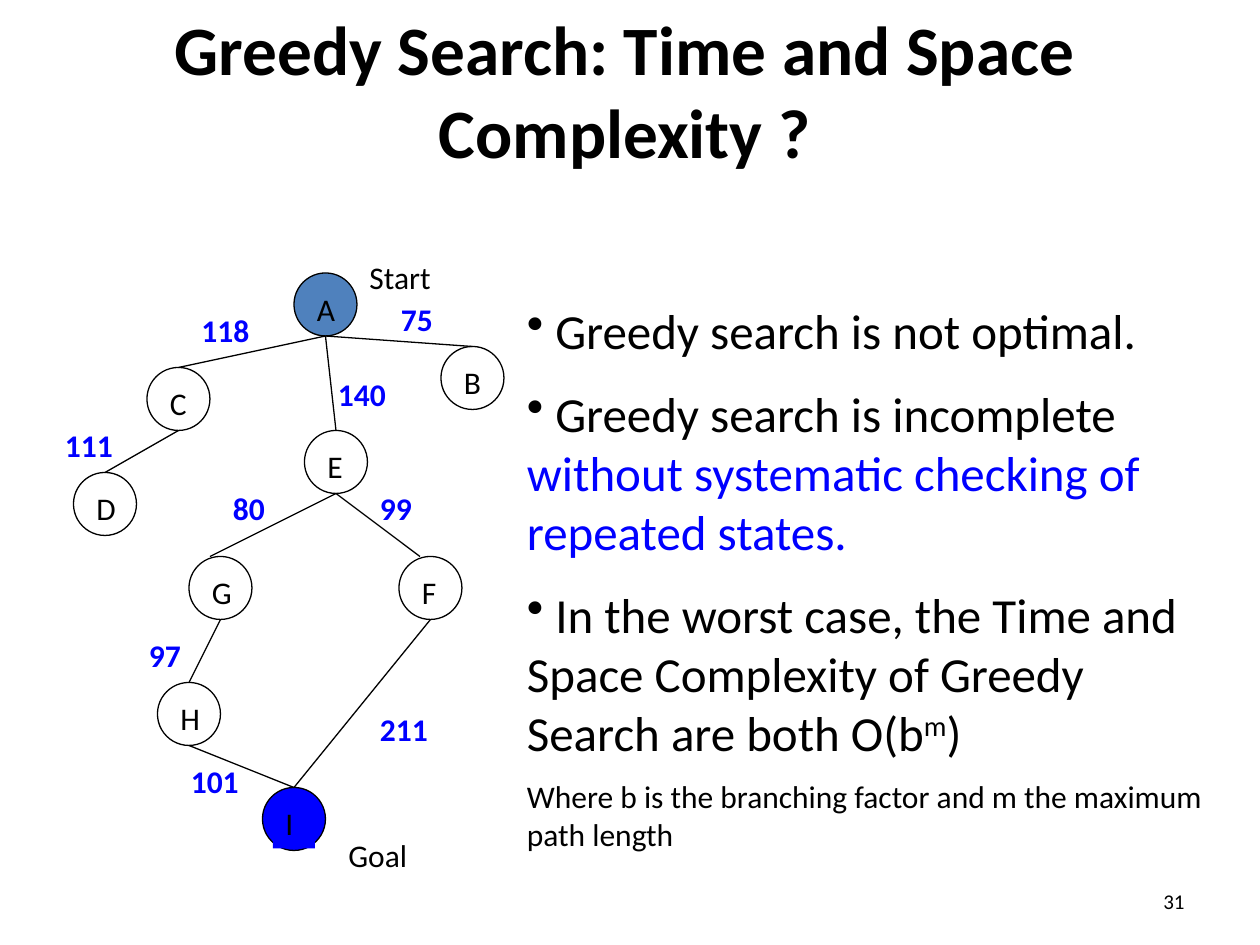
"""Build the slide on the time and space complexity of greedy search."""
import pptx
import pptx.util
import pptx.dml.color
import pptx.enum.shapes
import pptx.enum.text
import pptx.oxml
import pptx.oxml.ns
from lxml import etree

Pt = pptx.util.Pt
Align = pptx.enum.text.PP_ALIGN
Anchor = pptx.enum.text.MSO_ANCHOR
Fit = pptx.enum.text.MSO_AUTO_SIZE
BLACK, BLUE, STEEL = "000000", "0000FF", "4F81BD"
DIAM = 36
LINE = 28.8

NODES = {
    "A": (168, 156, STEEL), "B": (252, 198, None), "C": (84, 210, None),
    "D": (42, 270, None), "E": (174, 246, None), "F": (228, 318, None),
    "G": (108, 318, None), "H": (90, 390, None), "I": (150, 450, BLUE),
}
EDGES = [
    ("A", "B", 0, "75", 222, 168, 48), ("A", "C", 0, "118", 108, 174, 60),
    ("A", "E", 0, "140", 186, 211, 60), ("C", "D", 0, "111", 30, 240, 60),
    ("E", "F", -6, "99", 210, 276, 48), ("E", "G", -6, "80", 126, 276, 48),
    ("G", "H", 0, "97", 78, 360, 48), ("F", "I", 0, "211", 210, 402, 60),
    ("H", "I", 0, "101", 102, 432, 66),
]
POINTS = [
    (28, True, [(" Greedy search is not optimal.", BLACK, 0)]),
    (28, True, [(" Greedy search is incomplete ", BLACK, 0),
                ("without systematic checking of repeated states.", BLUE, 0)]),
    (28, True, [(" In the worst case, the Time and Space Complexity of Greedy "
                 "Search are both O(b", BLACK, 0),
                ("m", BLACK, 30000), (")", BLACK, 0)]),
    (18, False, [("Where b is the branching factor and m the maximum path length",
                  BLACK, 0)]),
]


def color(code):
    """Turn a hex string into a colour."""
    return pptx.dml.color.RGBColor.from_string(code)


class Sketch:
    """Hold the style and the current slide."""

    def __init__(self, deck, face="Calibri"):
        """Add a title-only slide to the deck."""
        self.face = face
        self.slide = deck.slides.add_slide(deck.slide_layouts[5])
        self.shapes = self.slide.shapes

    def font(self, para, size, code=None, bold=False):
        """Set the font of a paragraph."""
        font = para.font
        font.name, font.size, font.bold = self.face, Pt(size), bold
        if code:
            font.color.rgb = color(code)

    def title(self, text, left, top, width, height):
        """Place and format the title."""
        shape = self.shapes.title
        shape.left, shape.top = Pt(left), Pt(top)
        shape.width, shape.height = Pt(width), Pt(height)
        frame = shape.text_frame
        frame.text = text
        frame.auto_size = Fit.NONE
        frame.vertical_anchor = Anchor.MIDDLE
        para = frame.paragraphs[0]
        para.alignment = Align.CENTER
        self.font(para, 39.6, BLACK, True)

    def box(self, left, top, width, height=LINE, home=None):
        """Add a wrapping text box and return it."""
        shape = (home or self.shapes).add_textbox(
            Pt(left), Pt(top), Pt(width), Pt(height))
        shape.text_frame.word_wrap = True
        shape.text_frame.auto_size = Fit.SHAPE_TO_FIT_TEXT
        return shape

    def label(self, text, left, top, width, code=BLACK, bold=False, home=None):
        """Add a one-line label and return its box."""
        shape = self.box(left, top, width, home=home)
        shape.text_frame.text = text
        self.font(shape.text_frame.paragraphs[0], 18, code, bold)
        return shape

    def node(self, name, left, top, fill):
        """Add a circle grouped with its letter."""
        home = self.shapes.add_group_shape().shapes
        disc = home.add_shape(pptx.enum.shapes.MSO_SHAPE.OVAL,
                              Pt(left), Pt(top), Pt(DIAM), Pt(DIAM))
        disc.shadow.inherit = False
        disc.line.color.rgb = color(BLACK)
        disc.line.width = Pt(0.75)
        if fill:
            disc.fill.solid()
            disc.fill.fore_color.rgb = color(fill)
        else:
            disc.fill.background()
        tag = self.label(name, left + 6, top + 6, 24, home=home)
        if fill == BLUE:
            tag.fill.solid()
            tag.fill.fore_color.rgb = color(fill)

    def edge(self, start, end, nudge):
        """Join the foot of one node to the head of another."""
        (left, top, _), (right, low, _) = NODES[start], NODES[end]
        half = DIAM / 2
        line = self.shapes.add_connector(
            pptx.enum.shapes.MSO_CONNECTOR.STRAIGHT,
            Pt(left + half), Pt(top + DIAM), Pt(right + half + nudge), Pt(low))
        line.line.color.rgb = color(BLACK)
        line.line.width = Pt(0.75)
        etree.SubElement(line._element.spPr, pptx.oxml.ns.qn("a:effectLst"))

    def points(self, items, left, top, width, height):
        """Add the body text, spaced by half its size."""
        frame = self.box(left, top, width, height).text_frame
        for rank, (size, mark, runs) in enumerate(items):
            para = frame.add_paragraph() if rank else frame.paragraphs[0]
            if rank:
                para.space_before = Pt(size / 2)
            if mark:
                props = para._p.get_or_add_pPr()
                etree.SubElement(props, pptx.oxml.ns.qn("a:buChar"), char="•")
            self.font(para, size)
            for text, code, raised in runs:
                run = para.add_run()
                run.text = text
                run.font.color.rgb = color(code)
                if raised:
                    run._r.get_or_add_rPr().set("baseline", str(raised))

    def number(self, text, left, top, width, height):
        """Add the page number."""
        frame = self.box(left, top, width, height).text_frame
        frame.auto_size = Fit.NONE
        frame.vertical_anchor = Anchor.MIDDLE
        frame.text = text
        frame.paragraphs[0].alignment = Align.RIGHT
        self.font(frame.paragraphs[0], 12, BLACK)


def main():
    """Build and save the deck."""
    deck = pptx.Presentation()
    deck.slide_width, deck.slide_height = Pt(720), Pt(540)
    page = Sketch(deck)
    page.title("Greedy Search: Time and Space Complexity ?", 6, 6, 702, 90)
    page.number("31", 516, 500.4, 168, LINE)
    for name, place in NODES.items():
        page.node(name, *place)
    for start, end, nudge, cost, left, top, width in EDGES:
        page.edge(start, end, nudge)
        page.label(cost, left, top, width, BLUE, True)
    page.label("Start", 204, 144, 96)
    page.label("Goal", 192, 474, 96)
    page.points(POINTS, 294, 168, 408, 348.5)
    deck.save("out.pptx")


if __name__ == "__main__":
    main()
